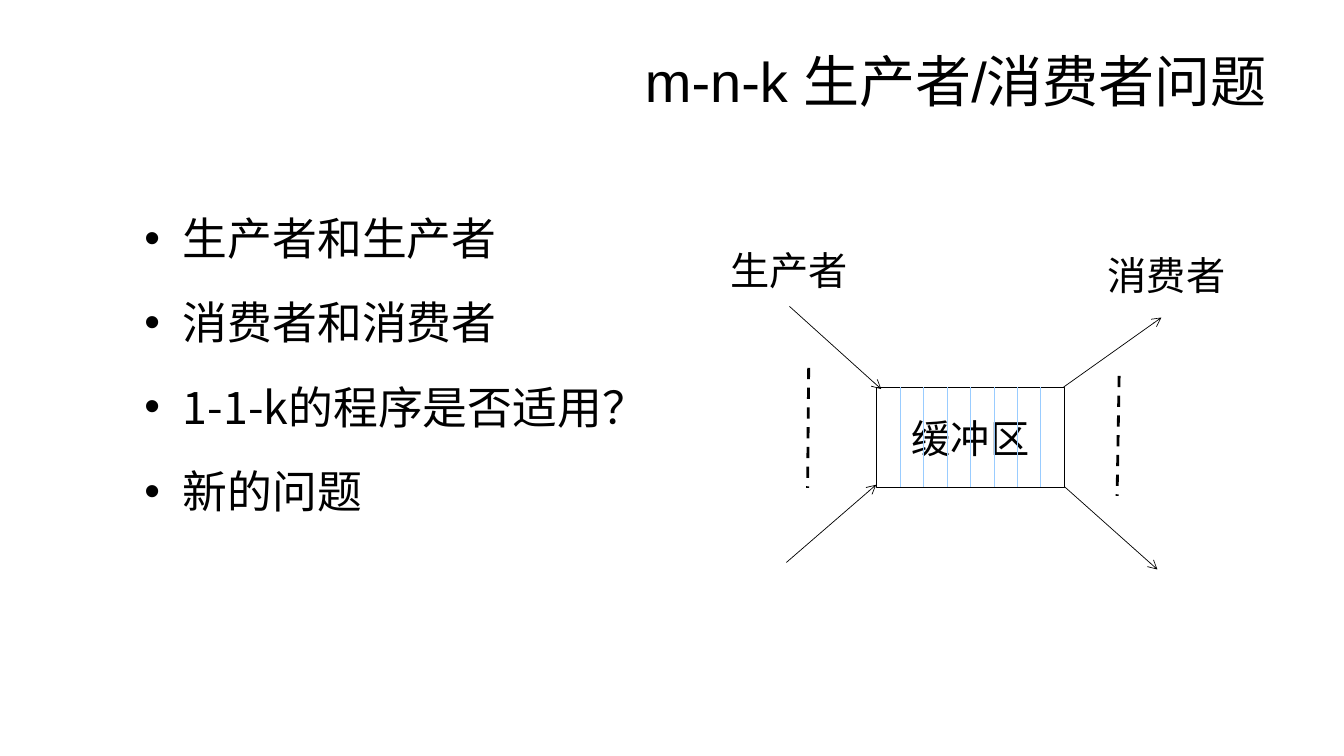
from pptx import Presentation
from pptx.dml.color import RGBColor
from pptx.enum.dml import MSO_LINE
from pptx.enum.shapes import MSO_CONNECTOR, MSO_SHAPE
from pptx.enum.text import MSO_ANCHOR, MSO_AUTO_SIZE, PP_ALIGN
from pptx.oxml.ns import qn
from pptx.util import Inches, Pt
from lxml import etree

STRAIGHT = MSO_CONNECTOR.STRAIGHT
RECTANGLE = MSO_SHAPE.RECTANGLE
DASH = MSO_LINE.DASH
MIDDLE, TOP = MSO_ANCHOR.MIDDLE, MSO_ANCHOR.TOP
CENTER, LEFT, RIGHT = PP_ALIGN.CENTER, PP_ALIGN.LEFT, PP_ALIGN.RIGHT
NO_FIT = MSO_AUTO_SIZE.NONE

COLORS = {"ink": "000000", "slot": "99CCFF"}
CJK_FONT = "Noto Sans CJK SC"
SLIDE_WIDTH, SLIDE_HEIGHT = Inches(13.33), Inches(7.5)
COLUMN, ROW = SLIDE_WIDTH / 100, SLIDE_HEIGHT / 100

TITLE = "m-n-k 生产者/消费者问题"
TOPICS = ["生产者和生产者", "消费者和消费者", "1-1-k的程序是否适用？", "新的问题"]
LABEL_SIZE = (9.83, 13.2)
BUFFER = (65.24, 51.25, 13.95, 13.2)
SLOT_COUNT = 8
FLOWS = [
    ((58.74, 40.53), (65.57, 51.47)),
    ((79.14, 51.2), (86.42, 42)),
    ((79.22, 64.4), (86.12, 75.33)),
    ((58.51, 74.4), (65.19, 64.13)),
]
ELLIPSES = [
    ((60.17, 48.67), (60.09, 64.53)),
    ((83.27, 49.73), (83.12, 65.6)),
]


def color(name):
    return RGBColor.from_string(COLORS[name])


def on_grid(column, row):
    return round(column * COLUMN), round(row * ROW)


def place(shape, column, row, columns, rows):
    shape.left, shape.top = on_grid(column, row)
    shape.width, shape.height = on_grid(columns, rows)


def write(paragraph, wording, size, font, align):
    paragraph.alignment = align
    run = paragraph.add_run()
    run.text = wording
    run.font.size = Pt(size)
    run.font.name = font
    run.font.color.rgb = color("ink")
    east_asian = etree.SubElement(run.font._element, qn("a:ea"))
    east_asian.set("typeface", CJK_FONT)


def add_title(slide):
    title = slide.shapes.title
    place(title, 5, 4, 90, 13.2)
    frame = title.text_frame
    frame.auto_size = NO_FIT
    frame.vertical_anchor = MIDDLE
    write(frame.paragraphs[0], TITLE, 40, "Arial", RIGHT)


def add_topics(slide):
    body = slide.placeholders[1]
    place(body, 10, 24.4, 41.04, 51.07)
    frame = body.text_frame
    frame.auto_size = NO_FIT
    frame.vertical_anchor = TOP
    for index, topic in enumerate(TOPICS):
        paragraph = frame.add_paragraph() if index else frame.paragraphs[0]
        properties = paragraph._p.get_or_add_pPr()
        properties.set("marL", str(Inches(0.38)))
        properties.set("indent", str(-Inches(0.38)))
        etree.SubElement(properties, qn("a:buFont")).set("typeface", "Arial")
        etree.SubElement(properties, qn("a:buChar")).set("char", "•")
        paragraph.line_spacing = 1.4
        paragraph.space_before = Pt(6.4 if index else 0)
        write(paragraph, topic, 32, CJK_FONT, LEFT)


def write_label(shape, wording):
    frame = shape.text_frame
    frame.word_wrap = True
    frame.vertical_anchor = MIDDLE
    frame.margin_left = frame.margin_right = 0
    frame.margin_top = frame.margin_bottom = 0
    write(frame.paragraphs[0], wording, 28, "Calibri", CENTER)


def add_role(slide, wording, column, row):
    role = slide.shapes.add_textbox(*on_grid(column, row), *on_grid(*LABEL_SIZE))
    write_label(role, wording)


def add_line(slide, start, end, ink="ink", width=0.5, dash=None, arrow=False):
    connector = slide.shapes.add_connector(STRAIGHT, *on_grid(*start), *on_grid(*end))
    connector.line.color.rgb = color(ink)
    connector.line.width = Pt(width)
    if dash:
        connector.line.dash_style = dash
    if arrow:
        outline = connector.line._get_or_add_ln()
        etree.SubElement(outline, qn("a:tailEnd")).set("type", "arrow")
    etree.SubElement(connector._element.spPr, qn("a:effectLst"))


def add_buffer(slide):
    left, top, width, height = BUFFER
    buffer = slide.shapes.add_shape(RECTANGLE, *on_grid(left, top), *on_grid(width, height))
    buffer.shadow.inherit = False
    buffer.fill.background()
    buffer.line.color.rgb = color("ink")
    buffer.line.width = Pt(0.5)
    write_label(buffer, "缓冲区")
    for slot in range(1, SLOT_COUNT):
        column = left + width * slot / SLOT_COUNT
        add_line(slide, (column, top), (column, top + height), ink="slot")


def main():
    presentation = Presentation()
    presentation.slide_width, presentation.slide_height = SLIDE_WIDTH, SLIDE_HEIGHT
    slide = presentation.slides.add_slide(presentation.slide_layouts[1])
    add_title(slide)
    add_role(slide, "消费者", 81.88, 29.73)
    add_role(slide, "生产者", 53.79, 29.13)
    add_buffer(slide)
    for start, end in FLOWS:
        add_line(slide, start, end, arrow=True)
    for start, end in ELLIPSES:
        add_line(slide, start, end, width=2, dash=DASH)
    add_topics(slide)
    presentation.save("out.pptx")


if __name__ == "__main__":
    main()
